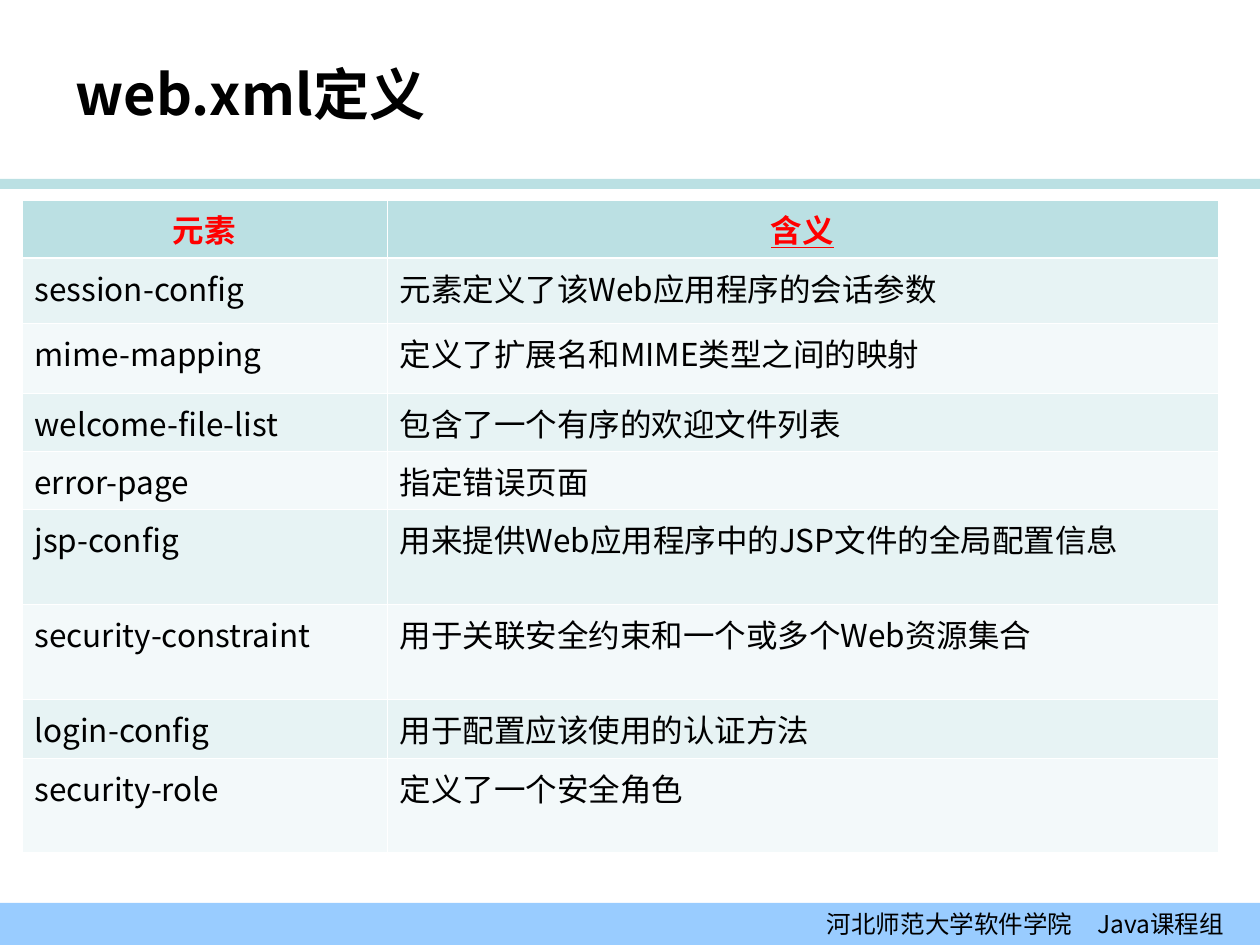
from lxml import etree
from pptx import Presentation
from pptx.dml.color import RGBColor
from pptx.enum.shapes import MSO_SHAPE
from pptx.enum.text import MSO_ANCHOR, MSO_AUTO_SIZE, PP_ALIGN
from pptx.oxml.ns import qn
from pptx.util import Emu, Pt

PX = 914400 // 126
FONT = "Noto Sans CJK SC"
RECT = MSO_SHAPE.RECTANGLE
MIDDLE = MSO_ANCHOR.MIDDLE
LEFT, CENTER, RIGHT = PP_ALIGN.LEFT, PP_ALIGN.CENTER, PP_ALIGN.RIGHT

BLACK = RGBColor(0x00, 0x00, 0x00)
WHITE = RGBColor(0xFF, 0xFF, 0xFF)
RED = RGBColor(0xFF, 0x00, 0x00)
TEAL = RGBColor(0xBB, 0xE0, 0xE3)
BAND_DARK = RGBColor(0xE7, 0xF3, 0xF4)
BAND_LIGHT = RGBColor(0xF3, 0xF9, 0xFA)
FOOTER_BLUE = RGBColor(0x99, 0xCC, 0xFF)

THIN, THICK = 0.45, 1.47
COL_WIDTHS = (365, 831)
HEADERS = ("元素", "含义")
HEADER_HEIGHT = 58
# Element, meaning, row height
ROWS = (
    ("session-config", "元素定义了该Web应用程序的会话参数", 65),
    ("mime-mapping", "定义了扩展名和MIME类型之间的映射", 70),
    ("welcome-file-list", "包含了一个有序的欢迎文件列表", 58),
    ("error-page", "指定错误页面", 58),
    ("jsp-config", "用来提供Web应用程序中的JSP文件的全局配置信息", 95),
    ("security-constraint", "用于关联安全约束和一个或多个Web资源集合", 95),
    ("login-config", "用于配置应该使用的认证方法", 59),
    ("security-role", "定义了一个安全角色", 94),
)


def px(n):
    return Emu(n * PX)


def add_text(tf, text, size, color=BLACK, bold=False, underline=False, align=LEFT):
    p = tf.paragraphs[0]
    p.alignment = align
    r = p.add_run()
    r.text = text
    font = r.font
    font.name, font.size = FONT, Pt(size)
    font.bold, font.underline = bold, underline
    font.color.rgb = color
    ea = etree.SubElement(r._r.get_or_add_rPr(), qn("a:ea"))
    ea.set("typeface", FONT)


def add_bar(slide, top, height, color):
    sp = slide.shapes.add_shape(RECT, 0, px(top), px(1260), px(height))
    sp.shadow.inherit = False
    sp.fill.solid()
    sp.fill.fore_color.rgb = color
    sp.line.fill.background()
    return sp


def add_footer(slide):
    tf = add_bar(slide, 903, 42, FOOTER_BLUE).text_frame
    tf.word_wrap = True
    tf.vertical_anchor = MIDDLE
    tf.margin_right = px(36)
    add_text(tf, "河北师范大学软件学院\u3000Java课程组".replace("\u3000", "　"), 14, align=RIGHT)


def set_title(slide, text):
    title = slide.shapes.title
    title.left, title.top, title.width, title.height = map(px, (63, 38, 1008, 110))
    tf = title.text_frame
    tf.auto_size = MSO_AUTO_SIZE.NONE
    tf.vertical_anchor = MIDDLE
    add_text(tf, text, 32, bold=True)


def set_borders(cell, top, bottom):
    tc_pr = cell._tc.get_or_add_tcPr()
    sides = (("L", THIN), ("R", THIN), ("T", top), ("B", bottom))
    for i, (side, width) in enumerate(sides):
        ln = etree.Element(qn(f"a:ln{side}"), w=str(Pt(width)))
        fill = etree.SubElement(ln, qn("a:solidFill"))
        etree.SubElement(fill, qn("a:srgbClr"), val=str(WHITE))
        tc_pr.insert(i, ln)


def format_cell(cell, fill, top=THIN, bottom=THIN):
    cell.fill.solid()
    cell.fill.fore_color.rgb = fill
    set_borders(cell, top, bottom)


def add_elements_table(slide):
    heights = [HEADER_HEIGHT] + [row[2] for row in ROWS]
    frame = slide.shapes.add_table(len(heights), len(COL_WIDTHS), px(22), px(200),
                                   px(sum(COL_WIDTHS)), px(sum(heights)))
    table = frame.table
    for column, width in zip(table.columns, COL_WIDTHS):
        column.width = px(width)
    for row, height in zip(table.rows, heights):
        row.height = px(height)

    # Header row
    for c, text in enumerate(HEADERS):
        cell = table.cell(0, c)
        format_cell(cell, TEAL, bottom=THICK)
        add_text(cell.text_frame, text, 18, RED, bold=True,
                 underline=c == 1, align=CENTER)

    # Banded body rows
    for r, row in enumerate(ROWS, start=1):
        for c, text in enumerate(row[:2]):
            cell = table.cell(r, c)
            format_cell(cell, BAND_DARK if r % 2 else BAND_LIGHT,
                        top=THICK if r == 1 else THIN)
            add_text(cell.text_frame, text, 18)


def main():
    prs = Presentation()
    prs.slide_width, prs.slide_height = px(1260), px(945)
    slide = prs.slides.add_slide(prs.slide_layouts[5])
    # Bands above the table and at the foot
    add_bar(slide, 179, 10, TEAL)
    add_footer(slide)
    # Content
    set_title(slide, "web.xml定义")
    add_elements_table(slide)
    prs.save("out.pptx")


if __name__ == "__main__":
    main()
